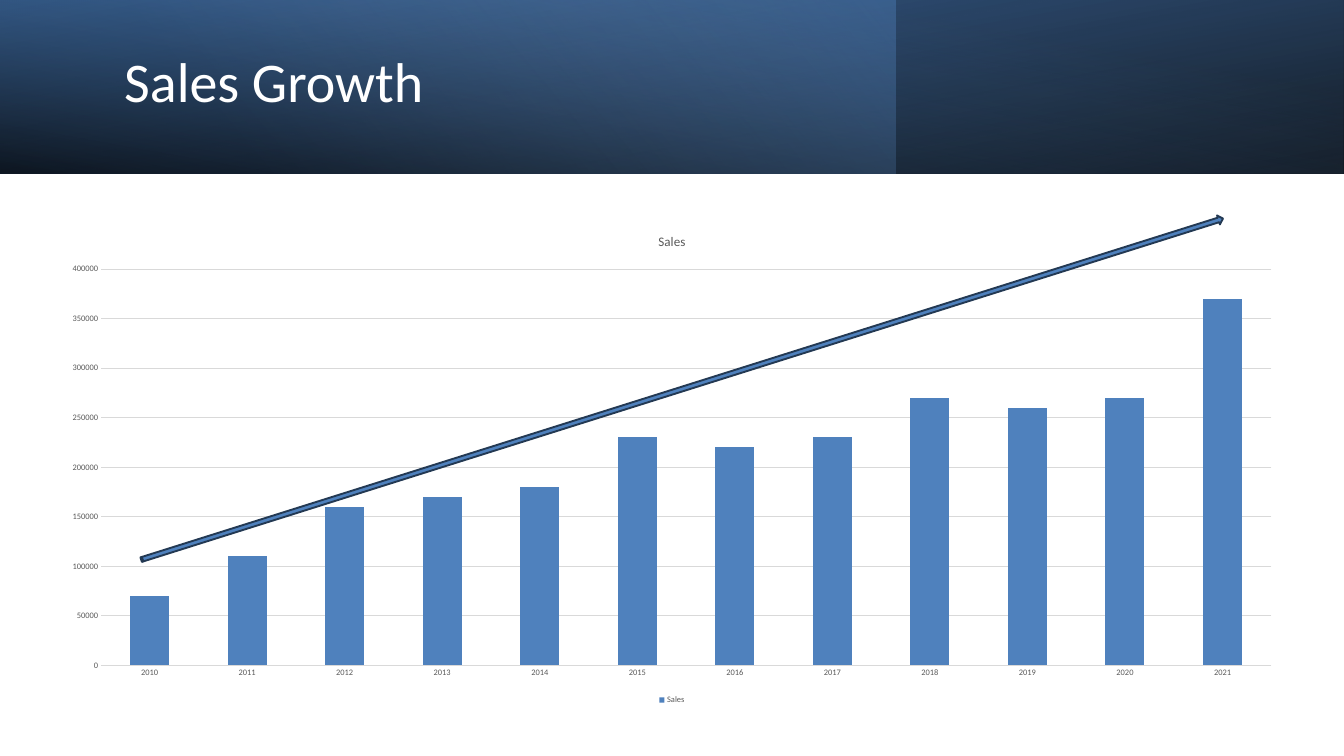
from lxml.etree import SubElement
from pptx import Presentation
from pptx.chart.data import CategoryChartData
from pptx.dml.color import RGBColor
from pptx.enum.chart import XL_CHART_TYPE, XL_LEGEND_POSITION, XL_TICK_MARK
from pptx.enum.shapes import MSO_SHAPE
from pptx.enum.text import MSO_ANCHOR
from pptx.oxml.ns import qn
from pptx.util import Pt

PX = 9144  # 100 px to the inch
FONT = "Calibri"
WHITE = RGBColor(0xFF, 0xFF, 0xFF)
BLACK = RGBColor(0x00, 0x00, 0x00)
BLUE = RGBColor(0x4F, 0x81, 0xBD)
DEEP_BLUE = RGBColor(0x37, 0x60, 0x92)
PALE_BLUE = RGBColor(0x95, 0xB3, 0xD7)
NAVY = RGBColor(0x23, 0x39, 0x53)
GREY = RGBColor(0x59, 0x59, 0x59)
LIGHT_GREY = RGBColor(0xD9, 0xD9, 0xD9)


def set_gradient(shape, stops, angle):
    """Fill with (position %, colour, opacity %) stops, angle clockwise in degrees."""
    shape.fill.gradient()
    gradient = shape._element.spPr.find(qn("a:gradFill"))
    for child in list(gradient):
        gradient.remove(child)
    gradient.set("rotWithShape", "1")
    stop_list = SubElement(gradient, qn("a:gsLst"))
    for position, color, opacity in stops:
        stop = SubElement(stop_list, qn("a:gs"), pos=str(position * 1000))
        rgb = SubElement(stop, qn("a:srgbClr"), val=str(color))
        SubElement(rgb, qn("a:alpha"), val=str(opacity * 1000))
    SubElement(gradient, qn("a:lin"), ang=str(angle * 60000), scaled="0")


def set_font(font, size, color):
    font.name = FONT
    font.size = Pt(size)
    font.color.rgb = color


deck = Presentation()
deck.slide_width = 2000 * PX
deck.slide_height = 1125 * PX
page = deck.slides.add_slide(deck.slide_layouts[6])

# Header band: three gradients laid over each other
bands = [
    (2000, 180, True, 100, [(0, BLACK, 96), (100, DEEP_BLUE, 100)]),
    (1333, 0, False, 140, [(0, BLUE, 41), (74, PALE_BLUE, 0)]),
    (2000, 0, True, 260, [(0, BLACK, 63), (78, BLUE, 15)]),
]
for width, rotation, flipped, angle, stops in bands:
    band = page.shapes.add_shape(MSO_SHAPE.RECTANGLE, 0, 0, width * PX, 258 * PX)
    band.shadow.inherit = False
    band.line.fill.background()
    band.rotation = rotation
    if flipped:
        band._element.spPr.xfrm.set("flipH", "1")
    set_gradient(band, stops, angle)

title_box = page.shapes.add_textbox(175 * PX, 80 * PX, 1159 * PX, 190 * PX)
title_frame = title_box.text_frame
title_frame.word_wrap = True
title_frame.vertical_anchor = MSO_ANCHOR.TOP
title_frame.margin_top = 0
title_frame.text = "Sales Growth"
title_para = title_frame.paragraphs[0]
title_para.line_spacing = 0.9
set_font(title_para.runs[0].font, 60, WHITE)

# Sales by year
sales = [70000, 110000, 160000, 170000, 180000, 230000,
         220000, 230000, 270000, 260000, 270000, 370000]
chart_data = CategoryChartData(number_format="0")
chart_data.categories = [str(year) for year in range(2010, 2022)]
chart_data.add_series("Sales", sales)
chart = page.shapes.add_chart(
    XL_CHART_TYPE.COLUMN_CLUSTERED, 71 * PX, 323 * PX, 1858 * PX, 730 * PX, chart_data
).chart
set_font(chart.font, 10, BLACK)

chart.has_title = True
chart.chart_title.include_in_layout = False
chart.chart_title.text_frame.text = "Sales"
chart_title_run = chart.chart_title.text_frame.paragraphs[0].runs[0]
set_font(chart_title_run.font, 14, GREY)
chart_title_run.font.bold = False

chart.has_legend = True
chart.legend.position = XL_LEGEND_POSITION.BOTTOM
chart.legend.include_in_layout = False
set_font(chart.legend.font, 9, GREY)

for axis in (chart.category_axis, chart.value_axis):
    axis.major_tick_mark = XL_TICK_MARK.NONE
    axis.minor_tick_mark = XL_TICK_MARK.NONE
    set_font(axis.tick_labels.font, 9, GREY)

value_axis = chart.value_axis
value_axis.minimum_scale = 0
value_axis.maximum_scale = 400000
value_axis.major_unit = 50000
value_axis.tick_labels.number_format = "0"
value_axis.tick_labels.number_format_is_linked = False
value_axis.format.line.fill.background()
for line in (chart.category_axis.format.line, value_axis.major_gridlines.format.line):
    line.color.rgb = LIGHT_GREY
    line.width = Pt(0.75)

plot = chart.plots[0]
plot.gap_width = 150
plot.vary_by_categories = False
columns = plot.series[0]
columns.format.fill.solid()
columns.format.fill.fore_color.rgb = BLUE
columns.invert_if_negative = False

# Growth arrow across the columns
arrow = page.shapes.add_shape(
    MSO_SHAPE.STRIPED_RIGHT_ARROW, 171 * PX, 572 * PX, 1688 * PX, 14 * PX
)
arrow.shadow.inherit = False
arrow.rotation = 342.5
arrow.fill.solid()
arrow.fill.fore_color.rgb = BLUE
arrow.line.color.rgb = NAVY
arrow.line.width = Pt(2)

deck.save("out.pptx")
